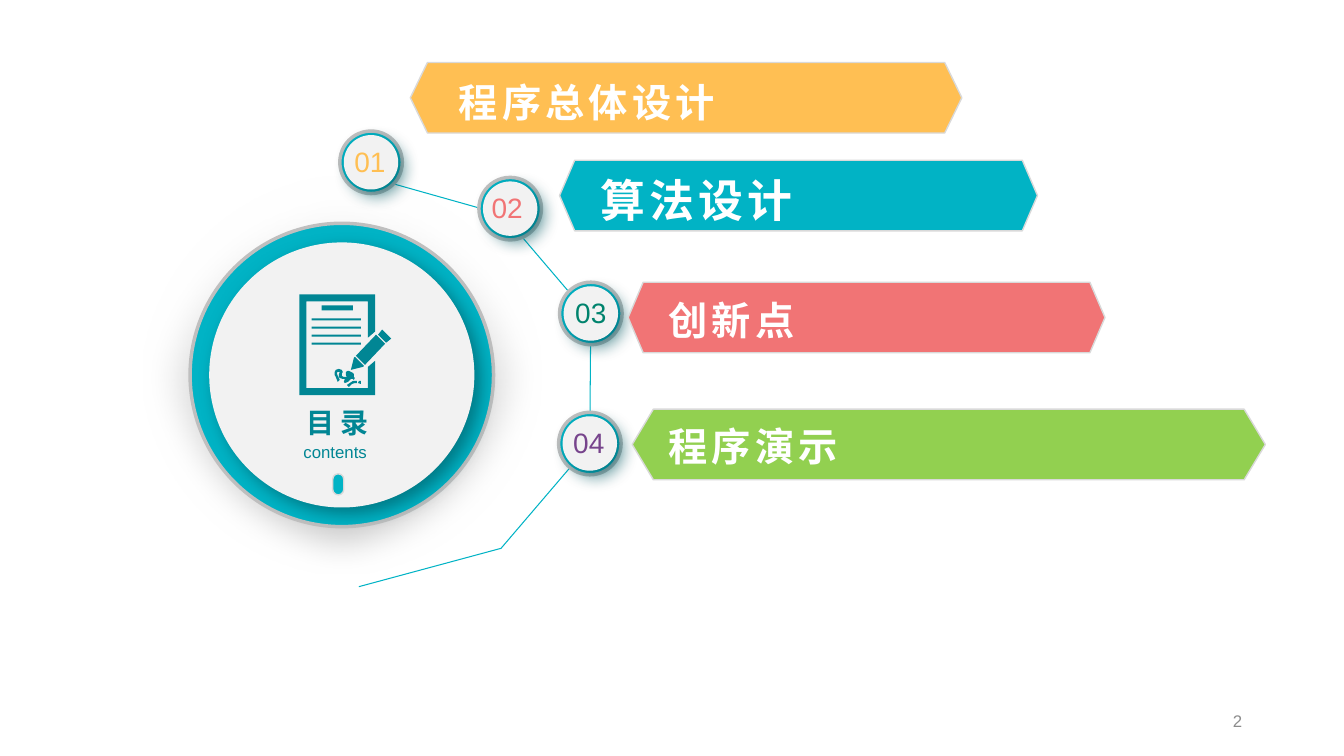
from lxml import etree
from pptx import Presentation
from pptx.dml.color import RGBColor
from pptx.enum.shapes import MSO_SHAPE
from pptx.enum.text import MSO_ANCHOR, MSO_AUTO_SIZE, PP_ALIGN
from pptx.oxml import parse_xml
from pptx.oxml.ns import nsdecls, qn
from pptx.util import Inches, Pt

WHITE = RGBColor(0xFF, 0xFF, 0xFF)
PALE = RGBColor(0xF2, 0xF2, 0xF2)
EDGE = RGBColor(0xD9, 0xD9, 0xD9)
SILVER = RGBColor(0xBF, 0xBF, 0xBF)
GREY = RGBColor(0x8C, 0x8C, 0x8C)
TEAL = RGBColor(0x01, 0xB3, 0xC5)
DARK_TEAL = RGBColor(0x01, 0x86, 0x94)
ORANGE = RGBColor(0xFF, 0xBF, 0x53)
CORAL = RGBColor(0xF1, 0x74, 0x75)
LIME = RGBColor(0x92, 0xD0, 0x50)
GREEN = RGBColor(0x00, 0x83, 0x6D)
PURPLE = RGBColor(0x77, 0x44, 0x8C)

HUNDREDTH = Inches(0.01)  # freeform points are in hundredths of an inch

deck = Presentation()
deck.slide_width, deck.slide_height = Inches(13.33), Inches(7.5)
page = deck.slides.add_slide(deck.slide_layouts[5])


def paint(shape, fill=None, line=None, width=1):
    shape.shadow.inherit = False
    if fill is None:
        shape.fill.background()
    else:
        shape.fill.solid()
        shape.fill.fore_color.rgb = fill
    if line is None:
        shape.line.fill.background()
    else:
        shape.line.color.rgb = line
        shape.line.width = Pt(width)


def write(box, text, size, color, bold=False, spacing=0, align=PP_ALIGN.LEFT,
          inset=None, wrap=False, anchor=MSO_ANCHOR.TOP):
    frame = box.text_frame
    frame.word_wrap = wrap
    frame.auto_size = MSO_AUTO_SIZE.NONE
    frame.vertical_anchor = anchor
    if inset is not None:
        for side in ("left", "top", "right", "bottom"):
            setattr(frame, f"margin_{side}", Inches(inset))
    para = frame.paragraphs[0]
    para.alignment = align
    span = para.add_run()
    span.text = text
    formats = {"name": "Arial", "size": Pt(size), "bold": bold}
    for name, value in formats.items():
        setattr(span.font, name, value)
    span.font.color.rgb = color
    if spacing:
        span.font._element.set("spc", str(spacing * 100))


# Line that links the numbered badges
trail = page.shapes.build_freeform(357, 173, HUNDREDTH)
trail.add_line_segments([(499, 213), (586, 315), (585, 441), (497, 544), (356, 582)],
                        close=False)
paint(trail.convert_to_shape(), line=TEAL, width=0.75)

# Discs: large dial first, then the badges (centre, halo, ring, face, soft edge)
discs = [(3.39, 3.72, 4.04, 3.01, 2.63, 25)]
badges = [
    ("01", 3.68, 1.61, ORANGE, 3.67),
    ("02", 5.06, 2.07, CORAL, 5.03),
    ("03", 5.86, 3.11, GREEN, 5.86),
    ("04", 5.85, 4.4, PURPLE, 5.84),
]
discs += [(x, y, 0.82, 0.62, 0.54, 12.5) for _, x, y, _, _ in badges]

for x, y, halo_size, ring_size, face_size, softness in discs:
    halo, ring, face = [
        page.shapes.add_shape(MSO_SHAPE.OVAL, Inches(x - size / 2), Inches(y - size / 2),
                              Inches(size), Inches(size))
        for size in (halo_size, ring_size, face_size)
    ]
    paint(halo)
    halo.fill.gradient()
    halo.fill.gradient_angle = 270
    for stop, color in zip(halo.fill.gradient_stops, (WHITE, SILVER)):
        stop.color.rgb = color
    effects = halo.element.spPr.find(qn("a:effectLst"))
    etree.SubElement(effects, qn("a:softEdge"), rad=str(Pt(softness)))

    paint(ring, TEAL, SILVER, 2.5)

    paint(face, PALE)
    effects = face.element.spPr.find(qn("a:effectLst"))
    effects.append(parse_xml(
        f'<a:outerShdw {nsdecls("a")} blurRad="{Pt(12)}" dist="{Pt(6)}" dir="2700000" '
        'algn="tl" rotWithShape="0"><a:srgbClr val="005962"><a:alpha val="64000"/>'
        '</a:srgbClr></a:outerShdw>'))

# Badge numbers
for number, x, y, color, label_x in badges:
    label = page.shapes.add_textbox(Inches(label_x - 0.4), Inches(y - 0.23),
                                    Inches(0.8), Inches(0.44))
    write(label, number, 20, color, align=PP_ALIGN.CENTER, wrap=True)

# Topic bars: left, top, width, tip depth, then the label's left, top and size
bars = [
    ("程序总体设计", ORANGE, 407, 62, 547, 17, 4.55, 0.78, 2.58, 28),
    ("算法设计", TEAL, 555, 159, 474, 15, 5.96, 1.71, 1.94, 32),
    ("创新点", CORAL, 623, 280, 473, 15, 6.63, 2.94, 1.29, 28),
    ("程序演示", LIME, 627, 406, 628, 21, 6.63, 4.19, 1.72, 28),
]
for topic, color, left, top, width, tip, text_x, text_y, text_width, size in bars:
    right, middle, bottom = left + width, top + 35, top + 70
    bar = page.shapes.build_freeform(left + tip, bottom, HUNDREDTH)
    bar.add_line_segments([(left, middle), (left + tip, top), (right - tip, top),
                           (right, middle), (right - tip, bottom)])
    paint(bar.convert_to_shape(), color, EDGE)
    label = page.shapes.add_textbox(Inches(text_x), Inches(text_y),
                                    Inches(text_width), Inches(size / 60))
    write(label, topic, size, WHITE, bold=True, spacing=3, inset=0)

# Pill at the foot of the dial
pill = page.shapes.add_shape(MSO_SHAPE.ROUNDED_RECTANGLE, Inches(3.3), Inches(4.7),
                             Inches(0.11), Inches(0.21))
pill.adjustments[0] = 0.5
paint(pill, TEAL, EDGE)

# Document icon: sheet, signature, text lines and pencil
sheet = [(365, 364), (365, 385), (304, 385), (304, 299), (365, 299), (365, 335),
         (372, 329), (372, 292), (297, 292), (297, 392), (372, 392), (372, 358)]
signature = [
    (342, 380), (345, 379), (348, 376), (350, 376), (351, 377), (352, 375), (351, 374),
    (351, 371), (350, 370), (348, 369), (346, 368), (345, 368), (343, 369), (343, 372),
    (344, 374), (341, 374), (339, 373), (339, 371), (340, 369), (339, 367), (336, 366),
    (333, 367), (332, 369), (332, 372), (333, 374), (335, 379), (337, 377), (335, 373),
    (334, 370), (335, 369), (337, 369), (336, 372), (336, 374), (337, 375), (340, 376),
    (342, 376), (341, 379)]
flourish = [(354, 380), (354, 378), (350, 378), (347, 380), (344, 382), (346, 384),
            (349, 381), (352, 380)]
full_stop = [(358, 381), (358, 378), (356, 378), (355, 380)]
pencil = [
    [(379, 327), (375, 332), (383, 340), (388, 336)],
    [(353, 353), (362, 362), (382, 341), (373, 332)],
    [(361, 363), (352, 354), (351, 355), (348, 367), (360, 364)],
]
stripes = [(319, 303, 350, 308)]
stripes += [(309, top, 358, top + 2.5) for top in (316, 323.5, 332, 340)]
lines = [[(a, b), (a, d), (c, d), (c, b)] for a, b, c, d in stripes]

icon = page.shapes.build_freeform(*sheet[0], HUNDREDTH)
icon.add_line_segments(sheet[1:])
for outline in [signature, flourish, full_stop, *lines, *pencil]:
    icon.move_to(*outline[0])
    icon.add_line_segments(outline[1:])
paint(icon.convert_to_shape(), DARK_TEAL)

# Dial heading, brought in front of the disc
title = page.shapes.title
title.left, title.top, title.width, title.height = map(Inches, (3.03, 4.02, 0.64, 0.34))
write(title, "目 录", 20, DARK_TEAL, bold=True, align=PP_ALIGN.CENTER, inset=0)
page.shapes.element.append(title.element)

subtitle = page.shapes.add_textbox(Inches(3.01), Inches(4.38), Inches(0.63), Inches(0.2))
write(subtitle, "contents", 12, DARK_TEAL, inset=0)

# Page number
folio = page.shapes.add_textbox(Inches(9.42), Inches(6.95), Inches(3), Inches(0.4))
write(folio, "2", 12, GREY, align=PP_ALIGN.RIGHT, wrap=True, anchor=MSO_ANCHOR.MIDDLE)

deck.save("out.pptx")
